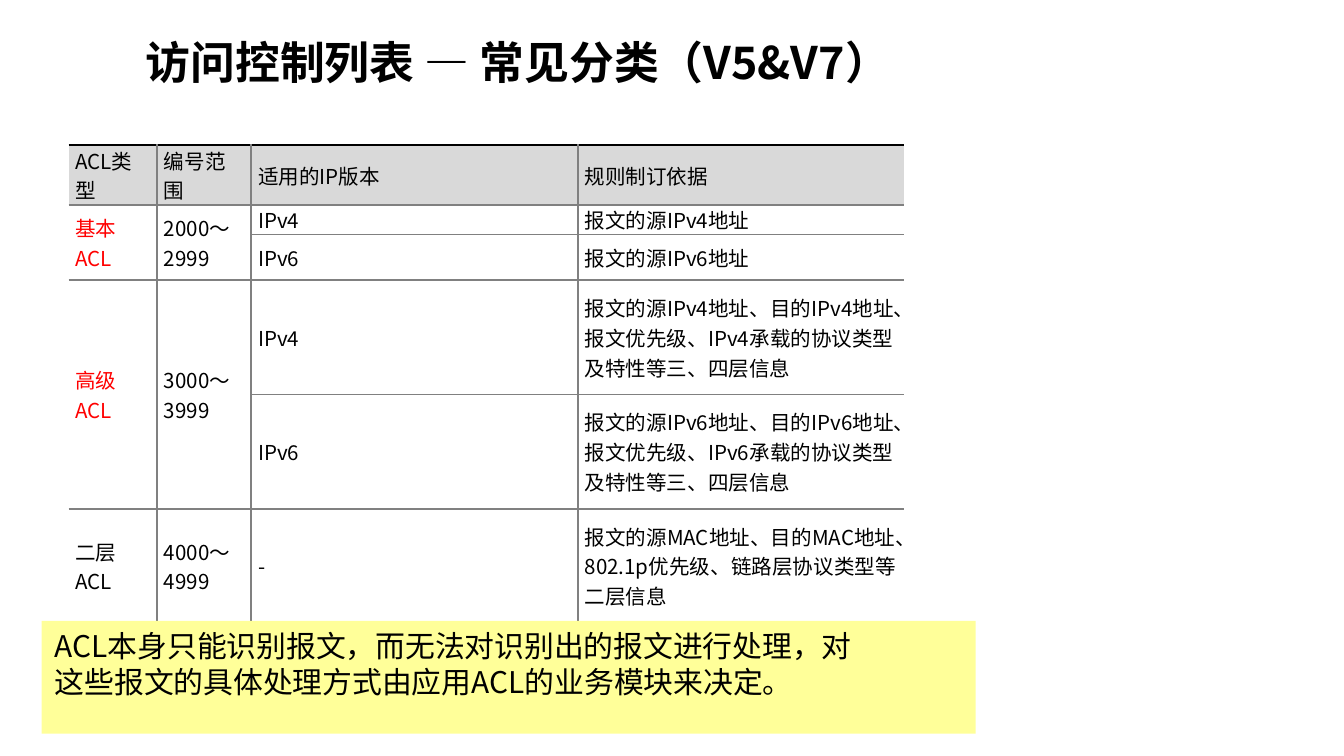
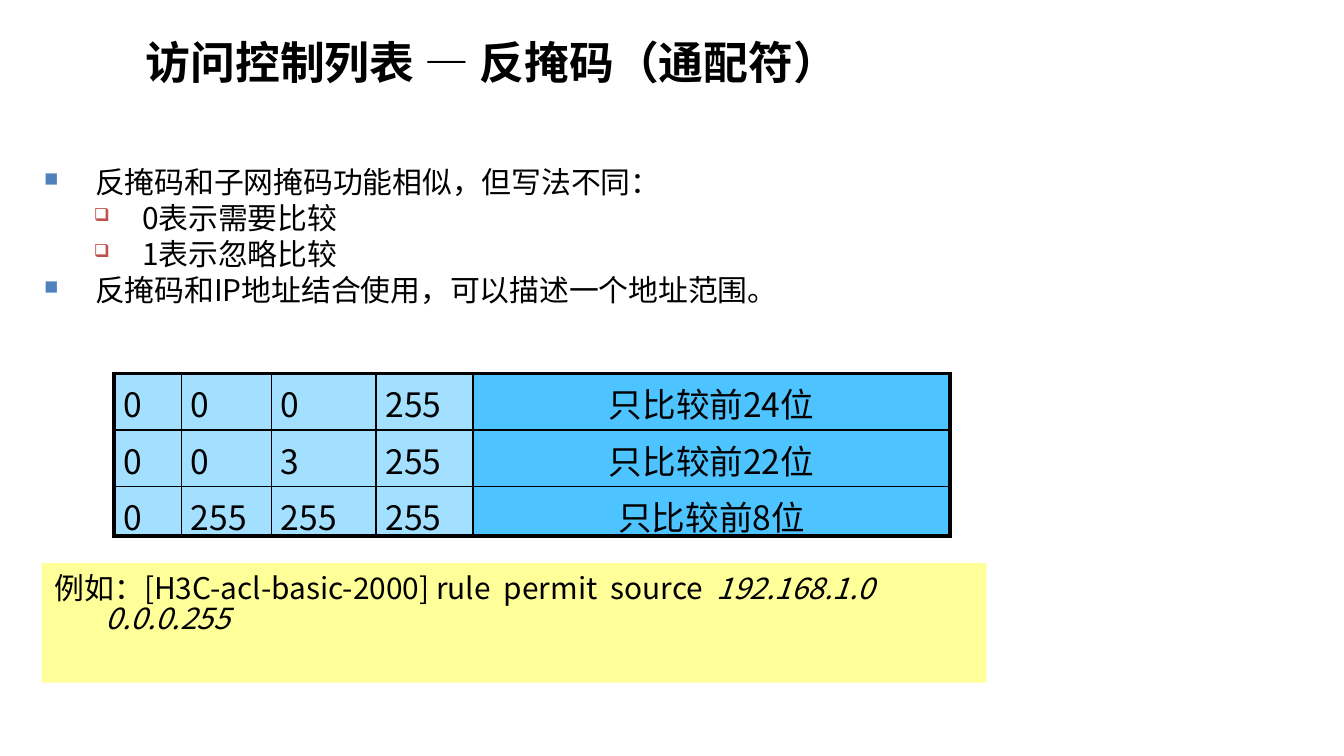
from pptx import Presentation
from pptx.dml.color import RGBColor
from pptx.enum.shapes import MSO_SHAPE
from pptx.enum.text import MSO_ANCHOR, PP_ALIGN
from pptx.oxml.ns import qn
from pptx.util import Pt
from lxml.etree import SubElement

FONT = "Noto Sans CJK SC"
BLACK, RED, GREY, HEAD = "000000", "FF0000", "808080", "D9D9D9"
NOTE, OCTET, MEANING = "FFFF99", "A3E0FF", "4DC4FF"
BLUE, BRICK = "4F81BD", "C0504D"
rgb = RGBColor.from_string

prs = Presentation()
U = 91440  # grid unit: 100 columns across the slide
prs.slide_width, prs.slide_height = 100 * U, round(56.25 * U)
s1, s2 = [prs.slides.add_slide(prs.slide_layouts[6]) for _ in range(2)]


def style(p, size, color=BLACK, bold=False):
    for r in p.runs:
        r.font.size, r.font.bold, r.font.name = Pt(size), bold, FONT
        r.font.color.rgb = rgb(color)
        SubElement(r.font._element, qn("a:ea"), typeface=FONT)


def add_grid(s, left, top, cols, rows, texts, look):
    """look(i, j) gives fill, text colour, size, margins and edges of a cell."""
    box = [round(v * U) for v in (left, top, sum(cols), sum(rows))]
    table = s.shapes.add_table(len(rows), len(cols), *box).table
    table.first_row = table.horz_banding = False
    for col, width in zip(table.columns, cols):
        col.width = round(width * U)
    for row, height in zip(table.rows, rows):
        row.height = round(height * U)
    for i, line in enumerate(texts):
        for j, text in enumerate(line):
            cell = table.cell(i, j)
            fill, color, size, margins, edges = look(i, j)
            for side, (edge, width) in zip("LRTB", edges):
                ln = SubElement(cell._tc.get_or_add_tcPr(), qn(f"a:ln{side}"),
                                w=str(Pt(width)))
                if edge:
                    SubElement(SubElement(ln, qn("a:solidFill")), qn("a:srgbClr"), val=edge)
                else:
                    SubElement(ln, qn("a:noFill"))
            if fill:
                cell.fill.solid()
                cell.fill.fore_color.rgb = rgb(fill)
            else:
                cell.fill.background()
            (cell.margin_left, cell.margin_top,
             cell.margin_right, cell.margin_bottom) = [round(m * U) for m in margins]
            cell.text_frame.text = text
            style(cell.text_frame.paragraphs[0], size, color)
    return table


# Slide 1: ACL types
acl_types = [
    ["ACL类型", "编号范围", "适用的IP版本", "规则制订依据"],
    ["基本ACL", "2000～2999", "IPv4", "报文的源IPv4地址"],
    ["", "", "IPv6", "报文的源IPv6地址"],
    ["高级ACL", "3000～3999", "IPv4",
     "报文的源IPv4地址、目的IPv4地址、报文优先级、IPv4承载的协议类型及特性等三、四层信息"],
    ["", "", "IPv6",
     "报文的源IPv6地址、目的IPv6地址、报文优先级、IPv6承载的协议类型及特性等三、四层信息"],
    ["二层ACL", "4000～4999", "-",
     "报文的源MAC地址、目的MAC地址、802.1p优先级、链路层协议类型等二层信息"],
]


def acl_look(i, j):
    edges = [(GREY if j else None, 1), (GREY if j < 3 else None, 1),
             (GREY if i else BLACK, 1), (GREY if i < 5 else BLACK, 1)]
    color = RED if j == 0 and 0 < i < 5 else BLACK
    return (None if i else HEAD), color, 11, (0.5, 0, 0.5, 0), edges


table = add_grid(s1, 5.1, 10.8, [6.6, 7, 24.3, 24.3],
                 [3.4, 1.7, 3.4, 8.5, 8.5, 8.5], acl_types, acl_look)
for i in range(6):
    for j in range(4):
        table.cell(i, j).vertical_anchor = MSO_ANCHOR.MIDDLE
for i in (1, 3):
    for j in (0, 1):
        table.cell(i, j).merge(table.cell(i + 1, j))

# Slide 2: wildcard mask rules
tf = s2.shapes.add_textbox(*[round(v * U) for v in (2.3, 11.7, 72.7, 13.7)]).text_frame
tf.word_wrap = True
tf.margin_top = round(0.9 * U)
rules = [
    (0, "反掩码和子网掩码功能相似，但写法不同："),
    (1, "0表示需要比较"),
    (1, "1表示忽略比较"),
    (0, "反掩码和IP地址结合使用，可以描述一个地址范围。"),
]
levels = [("■", BLUE, 65, 3.8, -3.8), ("❑", BRICK, 60, 7.3, -3.6)]
for n, (level, text) in enumerate(rules):
    p = tf.add_paragraph() if n else tf.paragraphs[0]
    p.text, p.level = text, level
    char, color, share, left, hang = levels[level]
    pPr = p._p.get_or_add_pPr()
    pPr.set("marL", str(round(left * U)))
    pPr.set("indent", str(round(hang * U)))
    SubElement(SubElement(pPr, qn("a:buClr")), qn("a:srgbClr"), val=color)
    SubElement(pPr, qn("a:buSzPct"), val=str(share * 1000))
    SubElement(pPr, qn("a:buChar"), char=char)
    p.line_spacing = 0.84
    if n:
        p.space_before = Pt(3.2)
    style(p, 16)

# Slide 2: mask examples
masks = [["0", "0", "0", "255", "只比较前24位"],
         ["0", "0", "3", "255", "只比较前22位"],
         ["0", "255", "255", "255", "只比较前8位"]]


def mask_look(i, j):
    outer = (j == 0, j == 4, i == 0, i == 2)
    edges = [(BLACK, 2.25 if side else 1) for side in outer]
    return (MEANING if j == 4 else OCTET), BLACK, 18, (0.7, 0.4, 0.7, 0), edges


table = add_grid(s2, 8.5, 27.8, [5, 6.7, 7.8, 7.2, 35.5], [4.2, 4.2, 3.7],
                 masks, mask_look)
for i in range(3):
    table.cell(i, 4).text_frame.paragraphs[0].alignment = PP_ALIGN.CENTER

# Both slides: yellow note and title
parts = [
    (s1, " 访问控制列表 — 常见分类（V5&V7）", (3.1, 46.2, 69.5, 8.4),
     [["ACL本身只能识别报文，而无法对识别出的报文进行处理，对"],
      ["这些报文的具体处理方式由应用ACL的业务模块来决定。"]]),
    (s2, " 访问控制列表 — 反掩码（通配符）", (3.1, 41.9, 70.3, 8.9),
     [["例如：[H3C-acl-basic-2000] rule  permit  source", "  192.168.1.0  0.0.0.255"]]),
]
for s, title, place, lines in parts:
    sp = s.shapes.add_shape(MSO_SHAPE.RECTANGLE, *[round(v * U) for v in place])
    sp.shadow.inherit = False
    sp.fill.solid()
    sp.fill.fore_color.rgb = rgb(NOTE)
    sp.line.fill.background()
    tf = sp.text_frame
    tf.word_wrap, tf.vertical_anchor = True, MSO_ANCHOR.TOP
    tf.margin_top = round(0.9 * U)
    for n, runs in enumerate(lines):
        p = tf.add_paragraph() if n else tf.paragraphs[0]
        p.alignment, p.line_spacing = PP_ALIGN.LEFT, 0.84
        if n:
            p.space_before = Pt(3.2)
        pPr = p._p.get_or_add_pPr()
        pPr.set("marL", str(round(3.8 * U)))
        pPr.set("indent", str(round(-3.8 * U)))
        for k, text in enumerate(runs):
            r = p.add_run()
            r.text, r.font.italic = text, k == 1
        style(p, 16)

    tf = s.shapes.add_textbox(*[round(v * U) for v in (9.1, 2.1, 70.6, 5)]).text_frame
    tf.word_wrap, tf.vertical_anchor = True, MSO_ANCHOR.MIDDLE
    tf.text = title
    style(tf.paragraphs[0], 24, bold=True)

prs.save("out.pptx")
